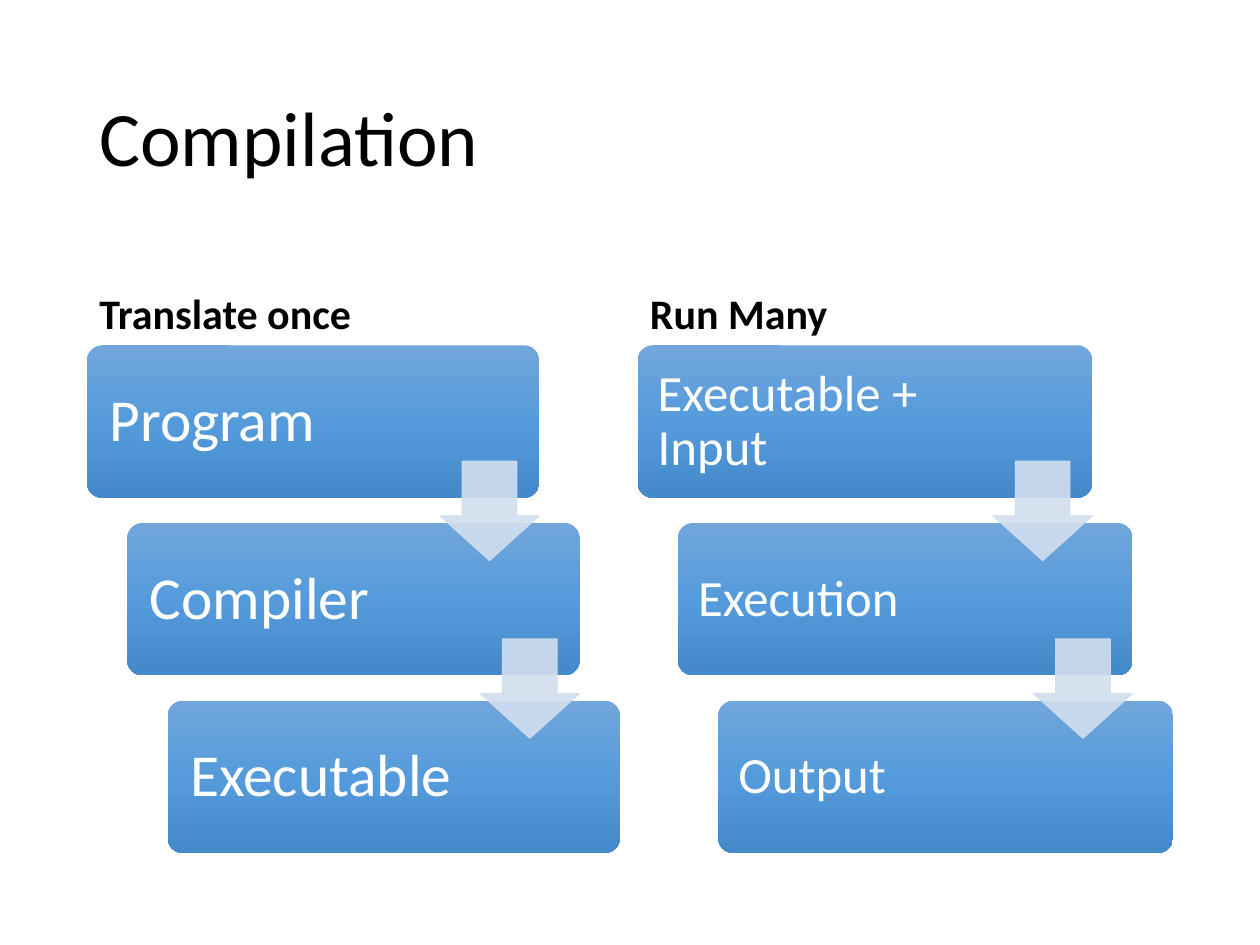
from copy import deepcopy

from lxml import etree
from pptx import Presentation
from pptx.dml.color import RGBColor
from pptx.enum.shapes import MSO_SHAPE
from pptx.enum.text import MSO_ANCHOR
from pptx.oxml.ns import qn
from pptx.util import Inches, Pt

ROUNDED = MSO_SHAPE.ROUNDED_RECTANGLE
DOWN_ARROW = MSO_SHAPE.DOWN_ARROW
MIDDLE, BOTTOM = MSO_ANCHOR.MIDDLE, MSO_ANCHOR.BOTTOM
FONT = "Calibri"
COLORS = {"text": "000000", "label": "FFFFFF", "top": "71A6DB",
          "middle": "559BDB", "bottom": "448ACA", "arrow": "D2DEEF"}
STEP_HEIGHT, STEP_DOWN, STEP_RIGHT = 1.21, 1.41, 0.32
ARROW_SIZE, ARROW_DROP = 0.79, 0.92


def color(name):
    """Return the named colour."""
    return RGBColor.from_string(COLORS[name])


def add_text(page, box, text, size, ink="text", bold=False, anchor=MIDDLE,
             inset=None, before=0, after=0):
    """Place one paragraph of text in the box."""
    frame = page.shapes.add_textbox(*map(Inches, box)).text_frame
    frame.word_wrap = True
    frame.vertical_anchor = anchor
    if inset is not None:
        frame.margin_left = frame.margin_right = Inches(inset)
        frame.margin_top = frame.margin_bottom = Inches(inset)
    frame.text = text
    para = frame.paragraphs[0]
    para.line_spacing = 0.9
    para.space_before, para.space_after = Pt(before), Pt(after)
    font = para.runs[0].font
    font.name, font.size, font.bold = FONT, Pt(size), bold
    font.color.rgb = color(ink)


def add_step(page, box, label, label_width, size, inset):
    """Draw one gradient step with its label."""
    left, top, _, height = box
    step = page.shapes.add_shape(ROUNDED, *map(Inches, box))
    step.shadow.inherit = False
    step.adjustments[0] = 0.1
    step.line.fill.background()
    step.fill.gradient()
    step.fill.gradient_angle = 270
    stop_list = step._element.spPr.find(qn("a:gradFill")).find(qn("a:gsLst"))
    stop_list.insert(1, deepcopy(stop_list[0]))
    for stop, name, position in zip(step.fill.gradient_stops,
                                    ("top", "middle", "bottom"), (0, 0.5, 1)):
        stop.color.rgb = color(name)
        stop.position = position
    add_text(page, (left + 0.04, top + 0.04, label_width, height - 0.07),
             label, size, "label", inset=inset, after=size * 0.35)


def add_arrow(page, box):
    """Draw one translucent down arrow."""
    arrow = page.shapes.add_shape(DOWN_ARROW, *map(Inches, box))
    arrow.shadow.inherit = False
    arrow.adjustments[0], arrow.adjustments[1] = 0.55, 0.45
    arrow.fill.solid()
    arrow.line.width = Pt(0.5)
    for paint in (arrow.fill.fore_color, arrow.line.color):
        paint.rgb = color("arrow")
    for tint in arrow._element.spPr.iter(qn("a:srgbClr")):
        etree.SubElement(tint, qn("a:alpha")).set("val", "90000")


def add_process(page, box, heading, labels, size, inset):
    """Draw a heading above a staircase of steps joined by arrows."""
    left, top, width, heading_height = box
    add_text(page, box, heading, 24, bold=True, anchor=BOTTOM, before=10)
    step_width = width - STEP_RIGHT * (len(labels) - 1)
    corners = [(left + STEP_RIGHT * index, top + heading_height + STEP_DOWN * index)
               for index in range(len(labels))]
    for index, ((x, y), label) in enumerate(zip(corners, labels)):
        label_width = 2.43 if index else 2.32
        add_step(page, (x, y, step_width, STEP_HEIGHT), label, label_width, size, inset)
    for x, y in corners[:-1]:
        add_arrow(page, (x + step_width - ARROW_SIZE, y + ARROW_DROP,
                         ARROW_SIZE, ARROW_SIZE))


def build_slide(deck):
    """Build the comparison slide."""
    page = deck.slides.add_slide(deck.slide_layouts[6])
    add_text(page, (0.69, 0.4, 8.62, 1.45), "Compilation", 44)
    add_process(page, (0.69, 1.84, 4.23, 0.9), "Translate once",
                ("Program", "Compiler", "Executable"), 34, 0.14)
    add_process(page, (5.06, 1.84, 4.25, 0.9), "Run Many",
                ("Executable + Input", "Execution", "Output"), 29, 0.12)


deck = Presentation()
deck.slide_width, deck.slide_height = Inches(10), Inches(7.5)
build_slide(deck)
deck.save("out.pptx")
